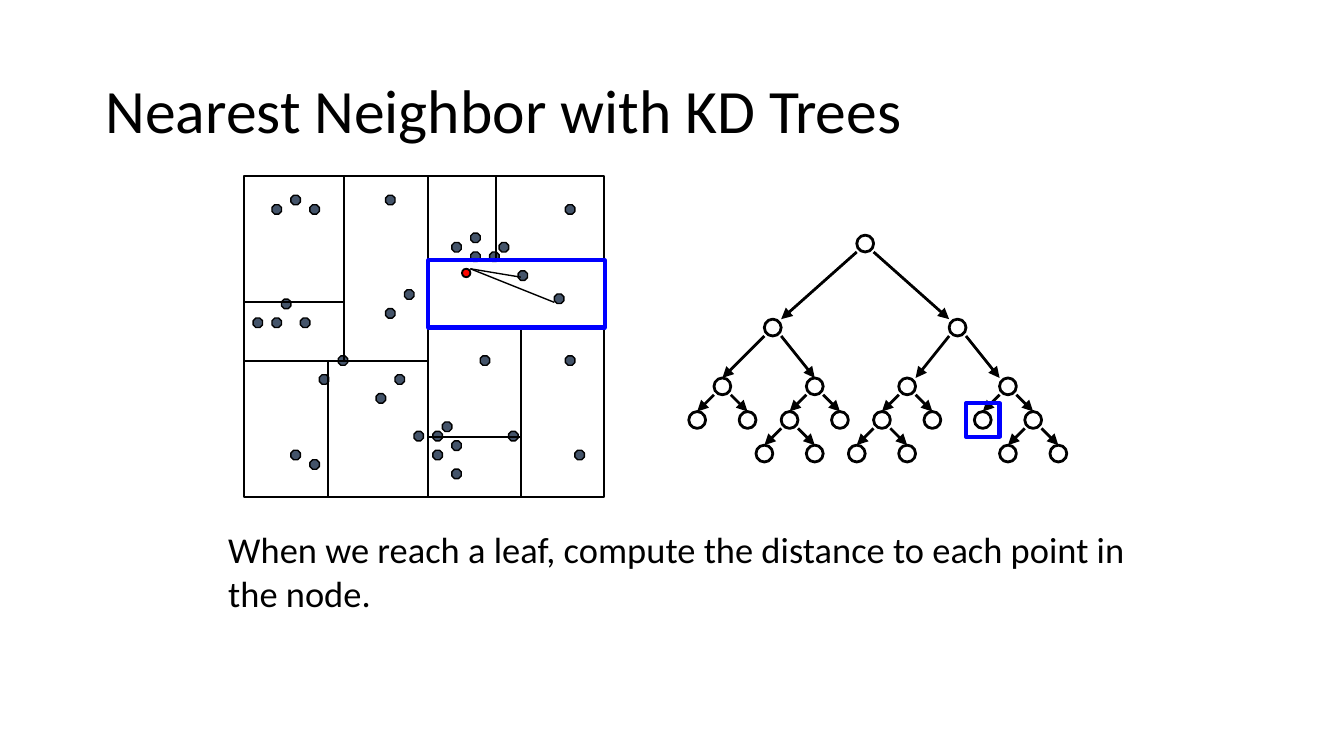
"""Build a slide on nearest neighbor search with KD trees."""
from dataclasses import dataclass
from typing import Optional

import lxml.etree
import pptx
import pptx.dml.color
import pptx.enum.shapes
import pptx.enum.text
import pptx.oxml.ns
import pptx.util

Pt = pptx.util.Pt
Kind = pptx.enum.shapes.MSO_SHAPE
BLACK, BLUE, RED, SLATE = "000000", "0000FF", "FF0600", "44546A"
NODE = 9
SIBLING = 13.5
LEVEL_TOPS = (126, 171, 202.5, 220.5, 238.5)
PLANE_LEFT, PLANE_TOP = 130.5, 94.5
COLUMN, ROW = 5.07, 5.06
DOT = 5.06


@dataclass(frozen=True)
class Line:
    x1: float
    y1: float
    x2: float
    y2: float


@dataclass(frozen=True)
class Node:
    x: float
    left: Optional["Node"] = None
    right: Optional["Node"] = None
    reach: float = NODE / 2


DATA_POINTS = (
    (4, 13), (6, 15), (3, 15), (22, 7), (1, 15), (21, 26), (20, 27), (29, 10),
    (24, 8), (18, 27), (20, 29), (22, 31), (22, 28), (34, 19), (15, 14),
    (16, 21), (25, 19), (7, 30), (8, 21), (24, 6), (26, 8), (27, 7), (28, 27),
    (5, 29), (10, 19), (17, 12), (14, 23), (7, 3), (5, 2), (3, 3), (15, 2),
    (34, 3), (35, 29),
)
SPLITS = (
    Line(229.5, 94.5, 229.5, 265.5),
    Line(229.5, 175.5, 324, 175.5),
    Line(279, 175.5, 279, 265.5),
    Line(229.5, 234, 279, 234),
    Line(130.5, 193.5, 229.5, 193.5),
    Line(184.5, 193.5, 184.5, 94.5),
    Line(229.5, 139.5, 324, 139.5),
    Line(265.5, 94.5, 265.5, 139.5),
    Line(175.5, 193.5, 175.5, 265.5),
    Line(130.5, 162, 184.5, 162),
)
DISTANCES = (Line(252, 144, 279, 148.5), Line(252, 144, 297, 162))


def color(code: str) -> pptx.dml.color.RGBColor:
    """Turn a hex string into a colour."""
    return pptx.dml.color.RGBColor.from_string(code)


def branch(x: float, left: Optional[Node] = None, right: Optional[Node] = None) -> Node:
    """Return a node whose missing children are leaves at the sibling distance."""
    return Node(x, left or Node(x - SIBLING), right or Node(x + SIBLING))


def draw_shape(page, kind, left: float, top: float, width: float, height: float,
               fill: Optional[str] = None, outline: str = BLACK, weight: float = 1):
    """Draw an outlined preset shape, hollow unless a fill is given."""
    shape = page.shapes.add_shape(kind, Pt(left), Pt(top), Pt(width), Pt(height))
    shape.shadow.inherit = False
    if fill:
        shape.fill.solid()
        shape.fill.fore_color.rgb = color(fill)
    else:
        shape.fill.background()
    shape.line.color.rgb = color(outline)
    shape.line.width = Pt(weight)
    return shape


def draw_dot(page, left: float, top: float) -> None:
    """Draw one data point of the plane."""
    dot = draw_shape(page, Kind.OCTAGON, left, top, DOT, DOT, fill=SLATE, weight=0.75)
    dot.adjustments[0] = 0.29


def draw_line(page, line: Line, weight: float = 1, arrow: bool = False) -> None:
    """Draw a straight black line, with an arrowhead at its end if asked."""
    connector = page.shapes.add_connector(
        pptx.enum.shapes.MSO_CONNECTOR.STRAIGHT,
        Pt(line.x1), Pt(line.y1), Pt(line.x2), Pt(line.y2))
    connector.line.color.rgb = color(BLACK)
    connector.line.width = Pt(weight)
    qn = pptx.oxml.ns.qn
    properties = connector._element.spPr
    if arrow:
        lxml.etree.SubElement(properties.find(qn("a:ln")), qn("a:tailEnd"), type="triangle")
    lxml.etree.SubElement(properties, qn("a:effectLst"))


def draw_tree(page, node: Node, level: int = 0) -> None:
    """Draw a node, the arrows to its children and the subtrees below."""
    top = LEVEL_TOPS[level]
    draw_shape(page, Kind.OVAL, node.x, top, NODE, NODE, weight=1.5)
    if node.left and node.right:
        start, end = top + NODE, LEVEL_TOPS[level + 1]
        draw_line(page, Line(node.x, start, node.left.x + node.reach, end), 1.5, arrow=True)
        draw_line(page, Line(node.x + NODE, start, node.right.x + NODE - node.reach, end),
                  1.5, arrow=True)
        draw_tree(page, node.left, level + 1)
        draw_tree(page, node.right, level + 1)


def add_text(page, text: str, *, left: float, top: float, width: float, height: float,
             size: float, spacing: float = 1.0, middle: bool = False) -> None:
    """Add a wrapped text box with one paragraph."""
    box = page.shapes.add_textbox(Pt(left), Pt(top), Pt(width), Pt(height))
    frame = box.text_frame
    frame.word_wrap = True
    anchors = pptx.enum.text.MSO_ANCHOR
    frame.vertical_anchor = anchors.MIDDLE if middle else anchors.TOP
    para = frame.paragraphs[0]
    para.line_spacing = spacing
    span = para.add_run()
    span.text = text
    span.font.name = "Calibri"
    span.font.size = Pt(size)
    span.font.color.rgb = color(BLACK)


def draw_plane(page) -> None:
    """Draw the data points and the cells that split the plane."""
    for column, row in DATA_POINTS:
        draw_dot(page, PLANE_LEFT + column * COLUMN, PLANE_TOP + row * ROW)
    draw_shape(page, Kind.RECTANGLE, PLANE_LEFT, PLANE_TOP, 193, 172)
    for split in SPLITS:
        draw_line(page, split)


def draw_query(page) -> None:
    """Draw the query point, its highlighted leaf and the distances."""
    draw_shape(page, Kind.OVAL, 247.5, 144, 4.5, 4.5, fill=RED)
    draw_shape(page, Kind.RECTANGLE, 229.5, 139.5, 94.5, 36, outline=BLUE, weight=2.25)
    draw_shape(page, Kind.RECTANGLE, 517.5, 216, 18, 18, outline=BLUE, weight=2.25)
    draw_dot(page, 297, 157.5)
    for distance in DISTANCES:
        draw_line(page, distance, 0.75)


def main() -> None:
    """Build and save the deck."""
    deck = pptx.Presentation()
    deck.slide_width, deck.slide_height = Pt(720), Pt(405)
    page = deck.slides.add_slide(deck.slide_layouts[6])
    add_text(page, "Nearest Neighbor with KD Trees", left=49.5, top=21.6,
             width=621, height=78.3, size=33, spacing=0.9, middle=True)
    draw_plane(page)
    west = Node(409.5, branch(382.5), branch(432, left=branch(418.5)))
    east = Node(508.5, branch(481.5, left=branch(468)),
                branch(535.5, right=branch(549)), reach=NODE)
    draw_tree(page, Node(459, west, east, reach=NODE))
    draw_query(page)
    add_text(page, "When we reach a leaf, compute the distance to each point in the node.",
             left=115.2, top=279, width=501, height=54.7, size=19.5)
    deck.save("out.pptx")


if __name__ == "__main__":
    main()
